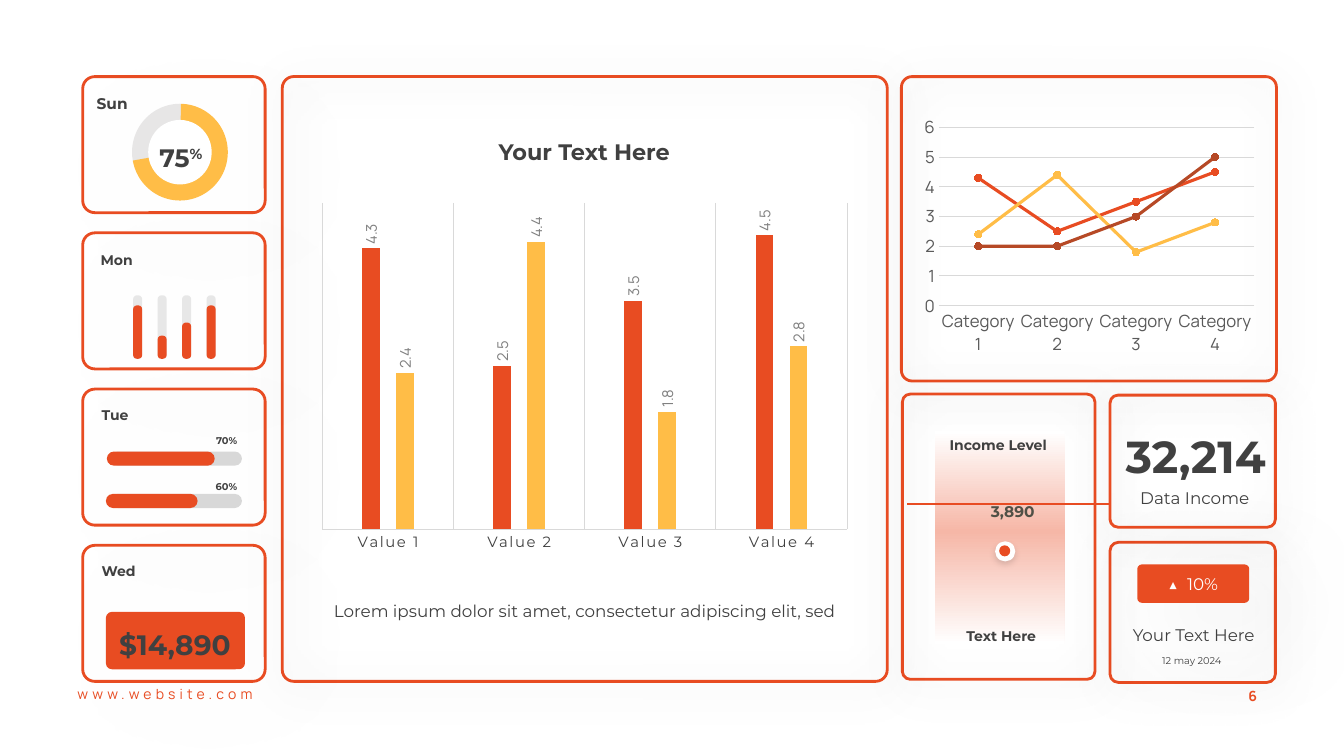
from copy import deepcopy

from lxml import etree
from pptx import Presentation
from pptx.chart.data import CategoryChartData
from pptx.dml.color import RGBColor
from pptx.enum.chart import XL_CHART_TYPE, XL_LABEL_POSITION, XL_MARKER_STYLE, XL_TICK_MARK
from pptx.enum.shapes import MSO_SHAPE
from pptx.enum.text import MSO_ANCHOR, MSO_AUTO_SIZE, PP_ALIGN
from pptx.oxml.ns import qn
from pptx.util import Inches, Pt

RECT, ROUND = MSO_SHAPE.RECTANGLE, MSO_SHAPE.ROUNDED_RECTANGLE
OVAL, PIE = MSO_SHAPE.OVAL, MSO_SHAPE.PIE
LEFT, CENTER, RIGHT = PP_ALIGN.LEFT, PP_ALIGN.CENTER, PP_ALIGN.RIGHT
TOP, MIDDLE, BOTTOM = MSO_ANCHOR.TOP, MSO_ANCHOR.MIDDLE, MSO_ANCHOR.BOTTOM
NO_TICK = XL_TICK_MARK.NONE

ORANGE, YELLOW, BROWN = RGBColor(0xE8, 0x4C, 0x22), RGBColor(0xFF, 0xBD, 0x47), RGBColor(0xB6, 0x49, 0x26)
WHITE, PINK = RGBColor(255, 255, 255), RGBColor(0xF6, 0xB7, 0xA7)
INK, OLIVE, SLATE = RGBColor(0x40, 0x40, 0x40), RGBColor(0x50, 0x50, 0x46), RGBColor(0x59, 0x59, 0x59)
LABEL_GREY, RULE_GREY = RGBColor(0x80, 0x80, 0x80), RGBColor(0xD9, 0xD9, 0xD9)
TRACK, BAR_TRACK, RING_GREY = RGBColor(0xD8, 0xD8, 0xD8), RGBColor(0xA5, 0xA5, 0xA5), RGBColor(0xE7, 0xE6, 0xE6)
MONT, MANROPE = "Montserrat", "Manrope"

# Shadows: opacity %, blur pt, distance pt, direction in degrees
WIDE, FAR = (20, 30, 4.5, 67), (10, 80, 30, 35)
DOT_SHADOW, CALLOUT_SHADOW = (12, 4.5, 2.2, 90), (10, 16, 13, 45)

DAY_LEFT, DAY_TOP, DAY_STEP = 0.82, 0.76, 1.55
DAY_SIZE = (1.81, 1.35)
CARDS = [  # box, corner
    ((11.01, 5.38, 1.64, 1.39), 0.06),
    ((8.94, 0.76, 3.72, 3.02), 0.035),
    ((8.95, 3.91, 1.91, 2.83), 0.041),
    ((11.01, 3.92, 1.64, 1.31), 0.06),
    ((2.8, 0.76, 6, 6), 0.019),
]
DAYS = [("Sun", 11, 0.86, 0.03), ("Mon", 10, 0.9, 0.05), ("Tue", 10, 0.91, 0.04), ("Wed", 10, 0.91, 0.04)]
MON_BARS = [0.53, 0.23, 0.36, 0.53]
TUE_BARS = [("70%", 4.48, 1.06, 1.07, 4.21), ("60%", 4.9, 1.05, 0.91, 4.66)]

SERIES = [
    ("Series 1", (4.3, 2.5, 3.5, 4.5), ORANGE),
    ("Series 2", (2.4, 4.4, 1.8, 2.8), YELLOW),
    ("Series 3", (2, 2, 3, 5), BROWN),
]
WAVE_START = (8.94, 5.17)
WAVE = [
    ((9.08, 5.12), (9.22, 4.99), (9.37, 5.03)),
    ((9.6, 5.1), (9.78, 5.44), (10.01, 5.49)),
    ((10.18, 5.52), (10.31, 5.2), (10.48, 5.16)),
    ((10.61, 5.12), (10.79, 5.19), (10.87, 5)),
]
CALLOUT = [(9.74, 4.88), (10.33, 4.88), (10.33, 5.24), (10.09, 5.24),
           (10.03, 5.28), (9.98, 5.24), (9.74, 5.24)]

TEXTS = [  # text, box, size, bold, line spacing, alignment, anchor, colour
    ("Income Level", (9.28, 4.26, 1.24, 0.31), 10, True, 1, CENTER, TOP, INK),
    ("Text Here", (9.31, 6.16, 1.24, 0.31), 10, True, 1, CENTER, TOP, INK),
    ("3,890", (9.68, 4.87, 0.73, 0.36), 11, True, 1.2, CENTER, TOP, OLIVE),
    ("$14,890", (0.84, 6.09, 1.79, 0.54), 20, True, 1.2, CENTER, TOP, INK),
]
WIDE_INSET = (0.13, 0.07)
PLAIN_TEXTS = [
    ("32,214", (11, 4.04, 1.72, 0.8), 32, True, 1.3, CENTER, BOTTOM, INK),
    ("Data Income", (10.91, 4.73, 1.88, 0.36), 12, False, 1.3, CENTER, TOP, INK),
    ("Your Text Here", (10.9, 6.09, 1.88, 0.36), 12, False, 1.3, CENTER, TOP, INK),
    ("12 may 2024", (10.88, 6.41, 1.88, 0.25), 7, False, 1.3, CENTER, TOP, INK),
    ("Your Text Here", (4.42, 1.37, 2.75, 0.32), 16, True, 0.8, CENTER, TOP, INK),
    ("Lorem ipsum dolor sit amet, consectetur adipiscing elit, sed",
     (3.09, 5.81, 5.42, 0.4), 12, False, 1.5, CENTER, TOP, INK),
]

prs = Presentation()
prs.slide_width, prs.slide_height = Inches(13.33), Inches(7.5)
slide = prs.slides.add_slide(prs.slide_layouts[6])
shapes = slide.shapes


def inches(values):
    return [Inches(v) for v in values]


def style(shape, fill=None, line=None, width=2, shadow=None, alpha=None):
    shape.shadow.inherit = False
    if fill is None:
        shape.fill.background()
    else:
        shape.fill.solid()
        shape.fill.fore_color.rgb = fill
    if alpha:
        colour = shape._element.spPr.find(".//" + qn("a:srgbClr"))
        etree.SubElement(colour, qn("a:alpha"), val=str(alpha * 1000))
    if line is None:
        shape.line.fill.background()
    else:
        shape.line.color.rgb = line
        shape.line.width = Pt(width)
    if shadow:
        opacity, blur, distance, angle = shadow
        effects = shape._element.spPr.find(qn("a:effectLst"))
        outer = etree.SubElement(effects, qn("a:outerShdw"), blurRad=str(Pt(blur)), dist=str(Pt(distance)),
                                 dir=str(angle * 60000), algn="ctr", rotWithShape="0")
        black = etree.SubElement(outer, qn("a:srgbClr"), val="000000")
        etree.SubElement(black, qn("a:alpha"), val=str(opacity * 1000))
    return shape


def add(kind, box, adjust=(), **look):
    shape = shapes.add_shape(kind, *inches(box))
    for i, value in enumerate(adjust):
        shape.adjustments[i] = value
    return style(shape, **look)


def outline(points, close, **look):
    builder = shapes.build_freeform(*points[0], scale=Inches(1))
    builder.add_line_segments(points[1:], close=close)
    return style(builder.convert_to_shape(), **look)


def set_font(font, size, colour, name=MONT, bold=False):
    font.name, font.size, font.bold = name, Pt(size), bold
    font.color.rgb = colour


def write(text, box, size, bold=False, spacing=1, align=LEFT, anchor=TOP, colour=INK,
          name=MONT, inset=(0.1, 0.05), wrap=True):
    frame = shapes.add_textbox(*inches(box)).text_frame
    frame.word_wrap, frame.vertical_anchor = wrap, anchor
    frame.auto_size = MSO_AUTO_SIZE.SHAPE_TO_FIT_TEXT
    frame.margin_left = frame.margin_right = Inches(inset[0])
    frame.margin_top = frame.margin_bottom = Inches(inset[1])
    paragraph = frame.paragraphs[0]
    paragraph.text, paragraph.alignment, paragraph.line_spacing = text, align, spacing
    set_font(paragraph.font, size, colour, name, bold)
    return paragraph


def curve(start, segments, steps=16):
    """Points along joined cubic Bezier segments."""
    points = [start]
    for a, b, end in segments:
        for t in (i / steps for i in range(1, steps + 1)):
            weights = ((1 - t) ** 3, 3 * t * (1 - t) ** 2, 3 * t * t * (1 - t), t ** 3)
            points.append(tuple(sum(w * p[k] for w, p in zip(weights, (start, a, b, end))) for k in (0, 1)))
        start = end
    return points


def add_chart(kind, box, categories, series, top_value):
    data = CategoryChartData()
    data.categories = categories
    for name, values, _ in series:
        data.add_series(name, values)
    chart = shapes.add_chart(kind, *inches(box), data).chart
    chart.has_legend = chart.has_title = False
    set_font(chart.font, 10, RGBColor(0, 0, 0), MANROPE)
    chart.plots[0].vary_by_categories = False
    for axis in (chart.category_axis, chart.value_axis):
        axis.major_tick_mark = axis.minor_tick_mark = NO_TICK
        set_font(axis.tick_labels.font, 12, SLATE, MANROPE)
    rule(chart.category_axis.format.line)
    chart.value_axis.minimum_scale, chart.value_axis.maximum_scale = 0, top_value
    chart.value_axis.major_unit = 1
    return chart


def rule(line):
    line.color.rgb, line.width = RULE_GREY, Pt(0.75)


# Cards
for box, corner in CARDS:
    add(ROUND, box, [corner], line=ORANGE, shadow=WIDE)
for i, (day, size, left, drop) in enumerate(DAYS):
    top = DAY_TOP + i * DAY_STEP
    add(ROUND, (DAY_LEFT, top, *DAY_SIZE), [0.089], line=ORANGE, shadow=FAR)
    write(day, (left, top + drop, 0.99, 0.35), size, True, 1.5)

# Line chart
trend = add_chart(XL_CHART_TYPE.LINE_MARKERS, (9.1, 1.1, 3.41, 2.48),
                  [f"Category {n}" for n in range(1, 5)], SERIES, 6)
trend.value_axis.format.line.fill.background()
rule(trend.value_axis.major_gridlines.format.line)
for series, (_, _, colour) in zip(trend.plots[0].series, SERIES):
    series.smooth = False
    series.format.line.color.rgb, series.format.line.width = colour, Pt(2.25)
    series.marker.style, series.marker.size = XL_MARKER_STYLE.CIRCLE, 5
    series.marker.format.fill.solid()
    series.marker.format.fill.fore_color.rgb = series.marker.format.line.color.rgb = colour

# Column chart
columns = add_chart(XL_CHART_TYPE.COLUMN_CLUSTERED, (3.09, 1.94, 5.42, 3.61),
                    [f"Value {n}" for n in range(1, 5)], SERIES[:2], 5)
columns.value_axis.has_major_gridlines = columns.value_axis.visible = False
rule(columns.category_axis.major_gridlines.format.line)
set_font(columns.category_axis.tick_labels.font, 10.6, INK)
columns.category_axis._element.find(".//" + qn("a:defRPr")).set("spc", "120")
columns.plots[0].gap_width, columns.plots[0].overlap = 444, -90
for series, (_, _, colour) in zip(columns.plots[0].series, SERIES):
    series.format.fill.solid()
    series.format.fill.fore_color.rgb = colour
    labels = series.data_labels
    labels.show_value, labels.position = True, XL_LABEL_POSITION.OUTSIDE_END
    set_font(labels.font, 10.6, LABEL_GREY, MANROPE)
    turn = labels._element.find(".//" + qn("a:bodyPr"))
    turn.set("rot", "-5400000")
    turn.set("vert", "horz")

# Income level
band = add(RECT, (9.27, 4.28, 1.29, 2.11), fill=WHITE)
band.fill.gradient()
band.fill.gradient_angle = 270
stops = band.fill.gradient_stops
stops[0].color.rgb = stops[1].color.rgb = WHITE
stops[0].position, stops[1].position = 0, 1
first_stop = band._element.spPr.find(".//" + qn("a:gs"))
first_stop.addnext(deepcopy(first_stop))
middle_stop = band.fill.gradient_stops[1]
middle_stop.position, middle_stop.color.rgb = 0.47, PINK
outline(curve(WAVE_START, WAVE), False, line=ORANGE, width=1.5)
add(OVAL, (9.87, 5.37, 0.2, 0.2), fill=WHITE, shadow=DOT_SHADOW)
add(OVAL, (9.91, 5.41, 0.11, 0.11), fill=ORANGE)
outline(CALLOUT, True, fill=WHITE, shadow=CALLOUT_SHADOW)

# Sunday ring
RING = (1.31, 1.03, 0.95, 0.96)
for start, end, colour in ((101.56, 162.88, RING_GREY), (162.77, 101.91, YELLOW)):
    add(PIE, RING, [start, end], fill=colour)
add(OVAL, (1.47, 1.19, 0.63, 0.64), fill=WHITE)
share = write("75", (1.32, 1.27, 0.95, 0.49), 18, True, 1.3, CENTER)
percent = share.add_run()
percent.text = "%"
percent.font._element.set("baseline", "30000")

# Monday and Tuesday bars
for i, height in enumerate(MON_BARS):
    left = 1.32 + i * 0.243
    add(ROUND, (left, 2.93, 0.09, 0.63), [0.421], fill=BAR_TRACK, alpha=25)
    add(ROUND, (left, 3.56 - height, 0.09, height), [0.421], fill=ORANGE)
for label, top, left, width, label_top in TUE_BARS:
    add(ROUND, (1.1, top, 1.3, 0.14), [0.5], fill=TRACK)
    add(ROUND, (left, top, width, 0.14), [0.5], fill=ORANGE)
    write(label, (1.81, label_top, 0.64, 0.28), 7, True, 1.5, RIGHT)

# Wednesday total, growth button and remaining text
add(ROUND, (1.05, 6.07, 1.38, 0.57), [0.106], fill=ORANGE)
growth = add(ROUND, (11.28, 5.6, 1.11, 0.38), [0.115], fill=ORANGE, shadow=FAR).text_frame
growth.vertical_anchor = MIDDLE
growth.paragraphs[0].text, growth.paragraphs[0].alignment = "▲  10%", CENTER
set_font(growth.paragraphs[0].font, 12, WHITE)
for entry in TEXTS:
    write(*entry, inset=WIDE_INSET)
for entry in PLAIN_TEXTS:
    write(*entry)

# Footer
site = write("www.website.com", (0.67, 6.75, 2.85, 0.27), 10, colour=ORANGE, name=MANROPE)
page = write("6", (12.18, 6.77, 0.49, 0.27), 10, True, 1, CENTER, MIDDLE, ORANGE, MANROPE, wrap=False)
for footer, spacing in ((site, 300), (page, 200)):
    footer.runs[0].font._element.set("spc", str(spacing))

prs.save("out.pptx")
